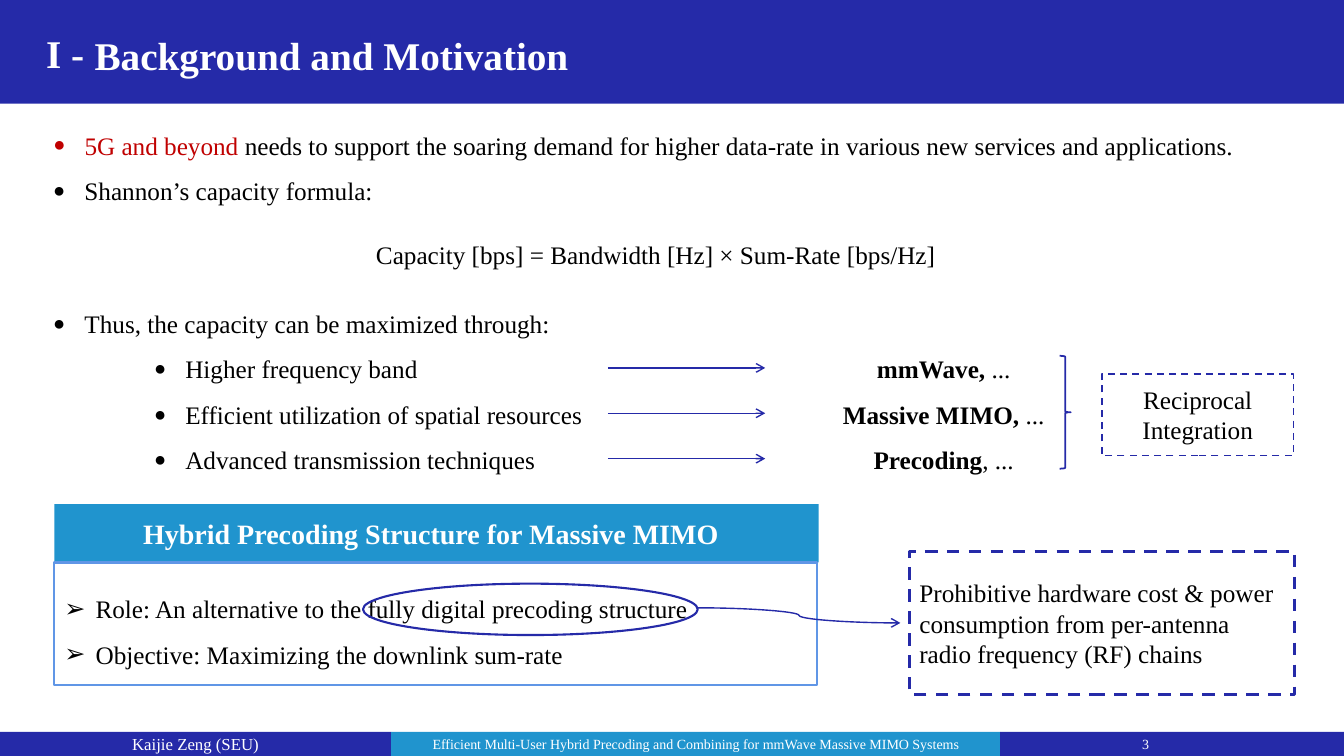
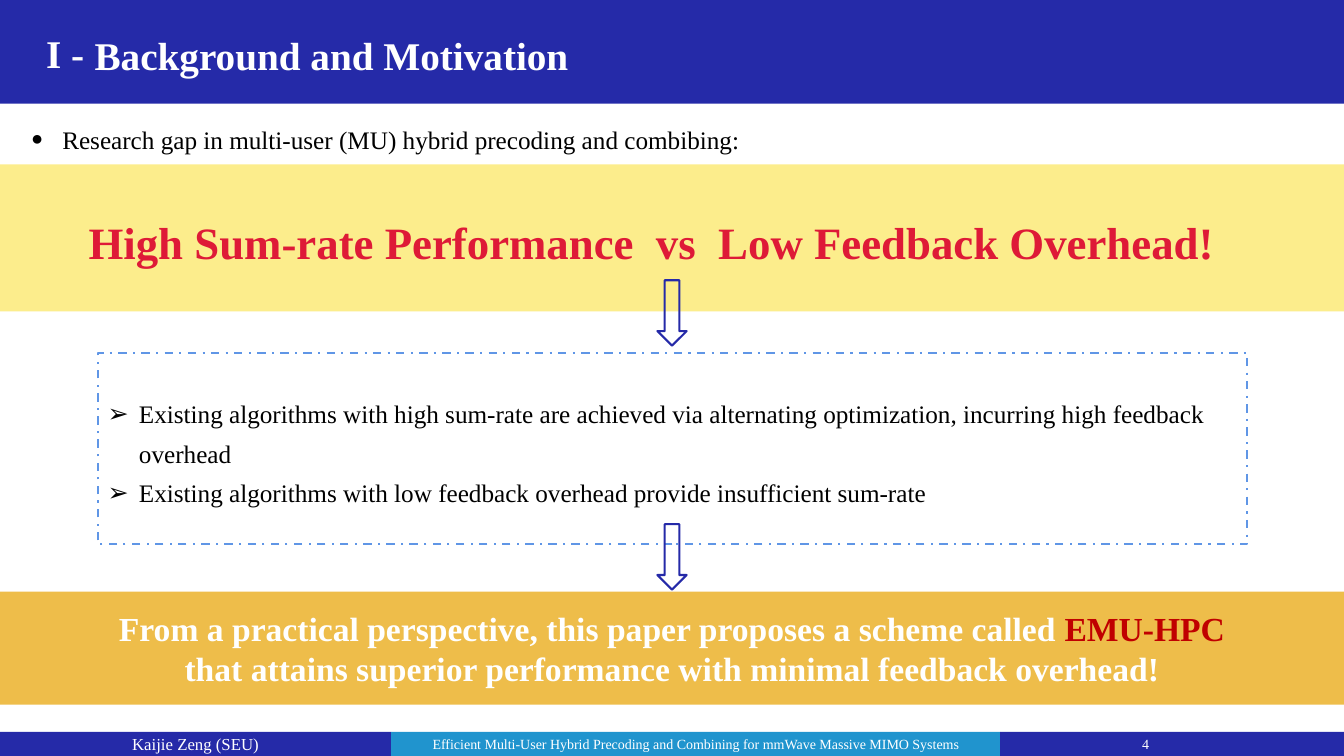
from lxml.etree import SubElement
from pptx import Presentation
from pptx.dml.color import RGBColor
from pptx.enum.dml import MSO_LINE_DASH_STYLE as Dash
from pptx.enum.shapes import MSO_CONNECTOR as Link, MSO_SHAPE as Kind
from pptx.enum.text import MSO_ANCHOR as Anchor, PP_ALIGN as Align
from pptx.oxml.ns import qn
from pptx.util import Inches, Pt

NAVY = RGBColor(0x25, 0x2A, 0xA8)
AZURE = RGBColor(0x20, 0x94, 0xCE)
SKY = RGBColor(0x60, 0x96, 0xE6)
LEMON = RGBColor(0xFB, 0xE4, 0x4F)
AMBER = RGBColor(0xEE, 0xBD, 0x4A)
RED = RGBColor(0xC0, 0x00, 0x00)
ROSE = RGBColor(0xDE, 0x1A, 0x37)
WHITE = RGBColor(0xFF, 0xFF, 0xFF)
BLACK = RGBColor(0, 0, 0)

FONT = "Times New Roman"
WIDE, HIGH = 13.33, 7.5
HANG = 0.31
ROW = 0.45
DOT = {"bullet": "●", "scale": 80}
ARROW = {"bullet": "➢"}
BOLD = {"bold": True}
TITLE = {"size": 28, "color": WHITE, "bold": True}


def mark(para, bullet, scale=100, left=HANG):
    """Give a paragraph a hanging bullet."""
    props = para._p.get_or_add_pPr()
    props.set("marL", str(Inches(left)))
    props.set("indent", str(Inches(-HANG)))
    SubElement(props, qn("a:buSzPct"), val=str(scale * 1000))
    SubElement(props, qn("a:buFont"), typeface="Arial")
    SubElement(props, qn("a:buChar"), char=bullet)


def style(run, size=18, color=BLACK, bold=False):
    values = {"name": FONT, "size": Pt(size), "bold": bold}
    for key, value in values.items():
        setattr(run.font, key, value)
    run.font.color.rgb = color


def write(shape, lines, align=Align.LEFT, anchor=Anchor.MIDDLE, space=None,
          bullet=None, wrap=True, **base):
    """Fill a shape; a line is a string or a list of (text, format) runs."""
    frame = shape.text_frame
    frame.word_wrap = wrap
    frame.vertical_anchor = anchor
    for num, line in enumerate(lines):
        para = frame.add_paragraph() if num else frame.paragraphs[0]
        if bullet:
            mark(para, **bullet)
        for key, value in {"alignment": align, "line_spacing": space}.items():
            setattr(para, key, value)
        for text, extra in [(line, {})] if isinstance(line, str) else line:
            run = para.add_run()
            run.text = text
            style(run, **{**base, **extra})


def label(slide, box, lines, **form):
    text = slide.shapes.add_textbox(*map(Inches, box))
    write(text, lines, **{"anchor": Anchor.TOP, **form})


def draw(slide, kind, box, fill=None, line=None, width=1.5, dash=None):
    shape = slide.shapes.add_shape(kind, *map(Inches, box))
    shape.shadow.inherit = False
    if fill is None:
        shape.fill.background()
    else:
        shape.fill.solid()
        shape.fill.fore_color.rgb = fill
    if line is None:
        shape.line.fill.background()
    else:
        shape.line.color.rgb = line
        shape.line.width = Pt(width)
        shape.line.dash_style = dash
    return shape


def point(slide, start, end, kind=Link.STRAIGHT):
    """Draw a thin navy arrow."""
    link = slide.shapes.add_connector(kind, *map(Inches, (*start, *end)))
    link.line.color.rgb = NAVY
    link.line.width = Pt(1)
    SubElement(link.line._get_or_add_ln(), qn("a:tailEnd"), type="arrow")
    SubElement(link._element.spPr, qn("a:effectLst"))


def header(slide):
    draw(slide, Kind.RECTANGLE, (0, 0, WIDE, 1.03), NAVY)
    label(slide, (0.36, 0.24, 0.68, 0.57), ["I -"], wrap=False, **TITLE)
    label(slide, (0.84, 0.26, 5.21, 0.57), ["Background and Motivation"],
          wrap=False, **TITLE)


def footer(slide, page, top=7.26):
    high = HIGH - top
    parts = [
        (3.88, NAVY, "Kaijie Zeng (SEU)", 12),
        (6.04, AZURE, "Efficient Multi-User Hybrid Precoding and Combining "
                      "for mmWave Massive MIMO Systems", 10),
        (3.41, NAVY, "", 10),
    ]
    left = 0
    for wide, fill, text, size in parts:
        band = draw(slide, Kind.RECTANGLE, (left, top, wide, high), fill)
        if text:
            write(band, [text], align=Align.CENTER, size=size, color=WHITE)
        left += wide
    label(slide, (11.23, top, 0.8, high), [str(page)], anchor=Anchor.MIDDLE,
          size=10, color=WHITE)


def intro(slide, left, top):
    """Place the opening points and the capacity formula."""
    label(slide, (left, top, 11.92, 0.4), [[
        ("5G and beyond", {"color": RED}),
        (" needs to support the soaring demand for higher data-rate "
         "in various new services and applications.", {})]], bullet=DOT)
    label(slide, (left, top + ROW, 8.64, 0.4),
          ["Shannon’s capacity formula:"], bullet=DOT)
    label(slide, (left + 2.74, top + 1.09, 6.67, 0.4),
          ["Capacity [bps] = Bandwidth [Hz] × Sum-Rate [bps/Hz]"],
          align=Align.CENTER)


def means(slide, left, top):
    """Place the ways to raise capacity, each with its technique."""
    label(slide, (left, top, 8, 0.4),
          ["Thus, the capacity can be maximized through:"],
          bullet=DOT, space=1.5)
    label(slide, (left + 1, top + ROW, 5, 3 * ROW),
          ["Higher frequency band",
           "Efficient utilization of spatial resources",
           "Advanced transmission techniques"], bullet=DOT, space=1.5)
    label(slide, (left + 7.43, top + ROW, 3, 3 * ROW),
          [[("mmWave, ", BOLD), ("...", {})],
           [("Massive MIMO,", BOLD), (" ...", {})],
           [("Precoding", BOLD), (", ...", {})]],
          align=Align.CENTER, space=1.5)
    for row in range(3):
        level = top + 0.79 + row * ROW
        point(slide, (left + 5.6, level), (left + 7.16, level))
    draw(slide, Kind.RIGHT_BRACE, (left + 10.08, top + 0.67, 0.11, 1.12),
         line=NAVY, width=1.25)
    goal = draw(slide, Kind.RECTANGLE, (left + 10.5, top + 0.85, 1.9, 0.81),
                line=NAVY, width=1.25, dash=Dash.DASH)
    write(goal, ["Reciprocal", "Integration"], align=Align.CENTER)


def panel(slide, left, top):
    """Place the hybrid precoding panel and its side note."""
    draw(slide, Kind.RECTANGLE, (left, top, 7.58, 0.58), AZURE)
    label(slide, (left - 0.11, top + 0.11, 7.69, 0.36),
          ["Hybrid Precoding Structure for Massive MIMO"],
          align=Align.CENTER, anchor=Anchor.MIDDLE,
          size=20, color=WHITE, bold=True)
    body = draw(slide, Kind.RECTANGLE, (left, top + 0.58, 7.56, 1.22),
                WHITE, SKY)
    write(body, ["Role: An alternative to the fully digital precoding structure",
                 "Objective: Maximizing the downlink sum-rate"],
          bullet=ARROW, space=1.5)
    draw(slide, Kind.OVAL, (left + 3.06, top + 0.79, 3.32, 0.51), line=NAVY)
    note = draw(slide, Kind.RECTANGLE, (left + 8.48, top + 0.47, 3.82, 1.42),
                line=NAVY, width=2.25, dash=Dash.DASH)
    write(note, ["Prohibitive hardware cost & power consumption from "
                 "per-antenna radio frequency (RF) chains"])
    point(slide, (left + 6.38, top + 1.03), (left + 8.39, top + 1.18),
          Link.CURVE)


def clash(slide, top):
    """Place the see-through band that names the trade-off."""
    band = draw(slide, Kind.RECTANGLE, (0, top, WIDE, 1.46), LEMON)
    tint = band._element.spPr.find(".//" + qn("a:srgbClr"))
    SubElement(tint, qn("a:alpha"), val="65000")
    label(slide, (0.25, top + 0.19, 12.43, 1.15),
          ["High Sum-rate Performance  vs  Low Feedback Overhead!"],
          align=Align.CENTER, anchor=Anchor.MIDDLE,
          size=32, color=ROSE, bold=True)


def limits(slide, left, top):
    """Place the box on existing algorithms."""
    box = draw(slide, Kind.RECTANGLE, (left, top, 11.4, 1.9),
               line=SKY, dash=Dash.DASH_DOT)
    write(box, ["Existing algorithms with high sum-rate are achieved via "
                "alternating optimization, incurring high feedback overhead",
                "Existing algorithms with low feedback overhead provide "
                "insufficient sum-rate"], bullet=ARROW, space=1.3)


def claim(slide, top):
    band = draw(slide, Kind.RECTANGLE, (0, top, WIDE, 1.12), AMBER)
    write(band, [[("From a practical perspective, this paper proposes "
                   "a scheme called ", {}), ("EMU-HPC", {"color": RED})],
                 "that attains superior performance with minimal "
                 "feedback overhead!"],
          align=Align.CENTER, size=24, color=WHITE, bold=True)


def needs(slide):
    intro(slide, 0.43, 1.24)
    means(slide, 0.43, 2.86)
    panel(slide, 0.54, 5)


def gap(slide):
    label(slide, (0.21, 1.18, 8.64, 0.4),
          ["Research gap in multi-user (MU) hybrid precoding and combibing:"],
          bullet=DOT)
    clash(slide, 1.63)
    limits(slide, 0.97, 3.5)
    claim(slide, 5.87)
    for top in (2.78, 5.2):
        draw(slide, Kind.DOWN_ARROW, (6.52, top, 0.29, 0.65), line=NAVY)


def main():
    deck = Presentation()
    deck.slide_width, deck.slide_height = Inches(WIDE), Inches(HIGH)
    for page, build in enumerate((needs, gap), start=3):
        slide = deck.slides.add_slide(deck.slide_layouts[6])
        header(slide)
        footer(slide, page)
        build(slide)
    deck.save("out.pptx")


if __name__ == "__main__":
    main()
